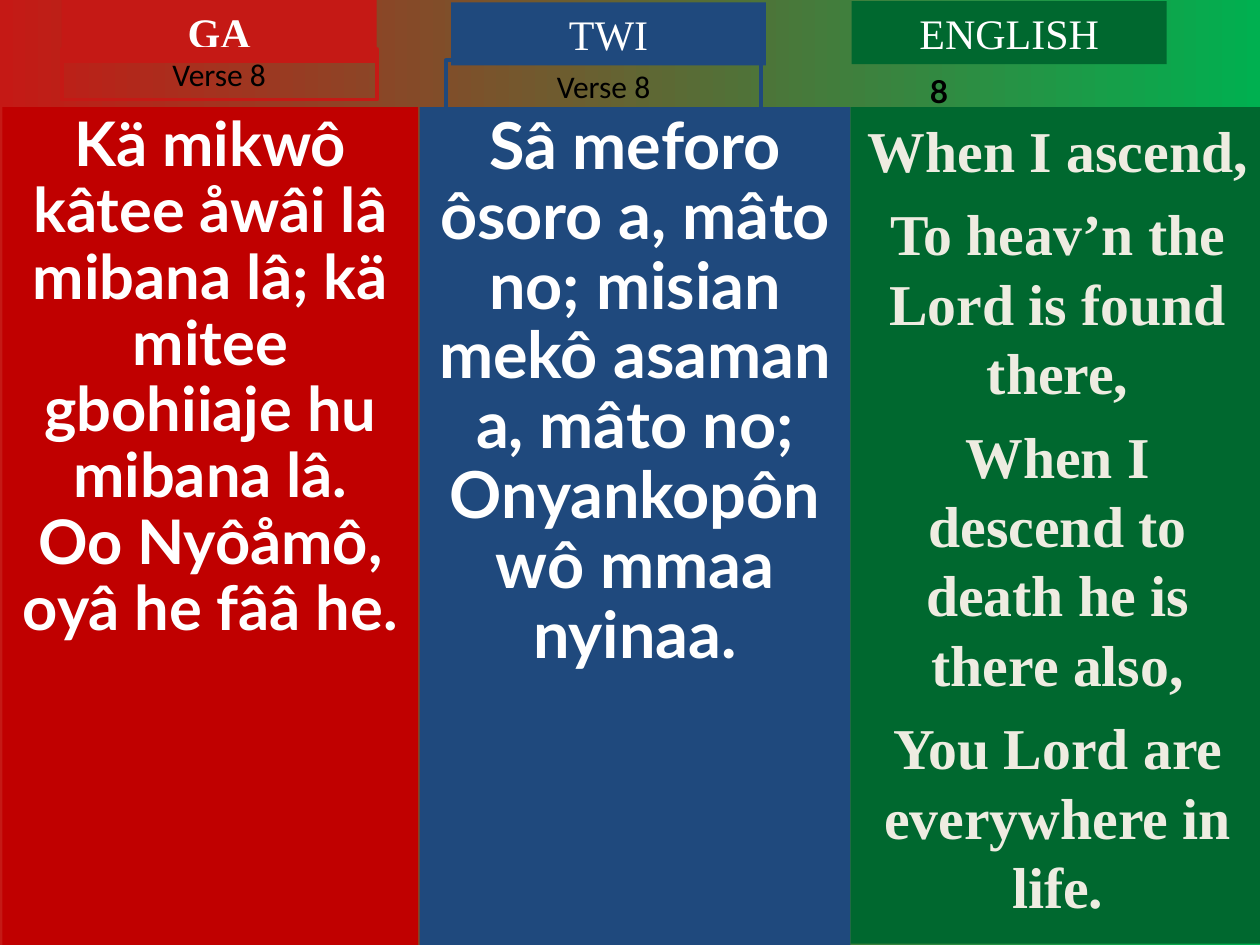
from pptx import Presentation
from pptx.dml.color import RGBColor
from pptx.enum.shapes import MSO_SHAPE
from pptx.enum.text import MSO_ANCHOR, PP_ALIGN
from pptx.util import Inches, Pt

COLORS = {
    "red": "C00000",
    "bright red": "C51915",
    "blue": "1F497D",
    "green": "00682F",
    "bright green": "00B050",
    "white": "FFFFFF",
    "cream": "EEECE1",
    "black": "000000",
}


def color(name):
    return RGBColor.from_string(COLORS[name])


def paint_background(page):
    fill = page.background.fill
    fill.gradient()
    fill.gradient_angle = 0
    for stop, name in zip(fill.gradient_stops, ("bright red", "bright green")):
        stop.color.rgb = color(name)
    fill.gradient_stops[0].position = 0
    fill.gradient_stops[1].position = 1


def write(box, lines, font, size, ink, bold=False, align=PP_ALIGN.CENTER,
          spacing=None, before=0):
    frame = box.text_frame
    frame.word_wrap = True
    frame.vertical_anchor = MSO_ANCHOR.TOP
    for index, line in enumerate(lines):
        para = frame.paragraphs[0] if index == 0 else frame.add_paragraph()
        para.text = line
        para.alignment = align
        if spacing:
            para.line_spacing = spacing
        if before and index:
            para.space_before = Pt(before)
        para.font.name = font
        para.font.size = Pt(size)
        para.font.bold = bold
        para.font.color.rgb = color(ink)


def add_panel(page, area, fill=None, outline=None):
    box = page.shapes.add_shape(MSO_SHAPE.RECTANGLE, *map(Inches, area))
    box.shadow.inherit = False
    if fill:
        box.fill.solid()
        box.fill.fore_color.rgb = color(fill)
    else:
        box.fill.background()
    if outline:
        box.line.color.rgb = color(outline)
        box.line.width = Pt(2.25)
    else:
        box.line.fill.background()
    return box


def add_lyrics(page, area, fill, lines, font, size, ink, spacing=None, before=0, top=0.05):
    box = add_panel(page, area, fill)
    box.text_frame.margin_top = Inches(top)
    write(box, lines, font, size, ink, True, spacing=spacing, before=before)


def add_language(page, left, top, name, fill, bold=False):
    box = add_panel(page, (left, top, 2.5, 0.5), fill)
    write(box, [name], "Times New Roman", 24, "white", bold)


def add_verse(page, left, top, outline):
    box = add_panel(page, (left, top, 2.5, 0.4), outline=outline)
    write(box, ["Verse 8"], "Calibri", 18, "black")


def add_verse_number(page, left, top):
    box = page.shapes.add_textbox(*map(Inches, (left, top, 1.5, 0.4)))
    box.text_frame.margin_left = Inches(0.15)
    write(box, ["8"], "Lato", 18, "black", True, PP_ALIGN.LEFT)


def add_hymn_page(deck):
    page = deck.slides.add_slide(deck.slide_layouts[6])
    paint_background(page)
    add_lyrics(page, (0.02, 0.85, 3.3, 6.65), "red", [
        "Kä mikwô kâtee åwâi lâ mibana lâ; kä mitee gbohiiaje hu mibana lâ.",
        "Oo Nyôåmô, oyâ he fââ he.",
    ], "Lato", 35.1, "white", 0.9)
    add_lyrics(page, (3.33, 0.85, 3.42, 6.65), "blue", [
        "Sâ meforo ôsoro a, mâto no; misian mekô asaman a, mâto no;",
        "Onyankopôn wô mmaa nyinaa.",
    ], "Lato", 37, "white", 0.9)
    add_language(page, 0.49, 0, "GA", "bright red", True)
    add_language(page, 3.58, 0.02, "TWI", "blue")
    add_verse(page, 0.49, 0.39, "bright red")
    add_verse(page, 3.54, 0.48, "blue")
    add_lyrics(page, (6.75, 0.85, 3.29, 6.64), "green", [
        "When I ascend,",
        "To heav’n the Lord is found there,",
        "When I descend to death he is there also,",
        "You Lord are everywhere in life.",
    ], "Times New Roman", 33, "cream", before=8.2, top=0.06)
    add_language(page, 6.76, 0.01, "ENGLISH", "green")
    add_verse_number(page, 7.23, 0.52)


def main():
    deck = Presentation()
    deck.slide_width = Inches(10)
    deck.slide_height = Inches(7.5)
    add_hymn_page(deck)
    deck.save("out.pptx")


if __name__ == "__main__":
    main()
